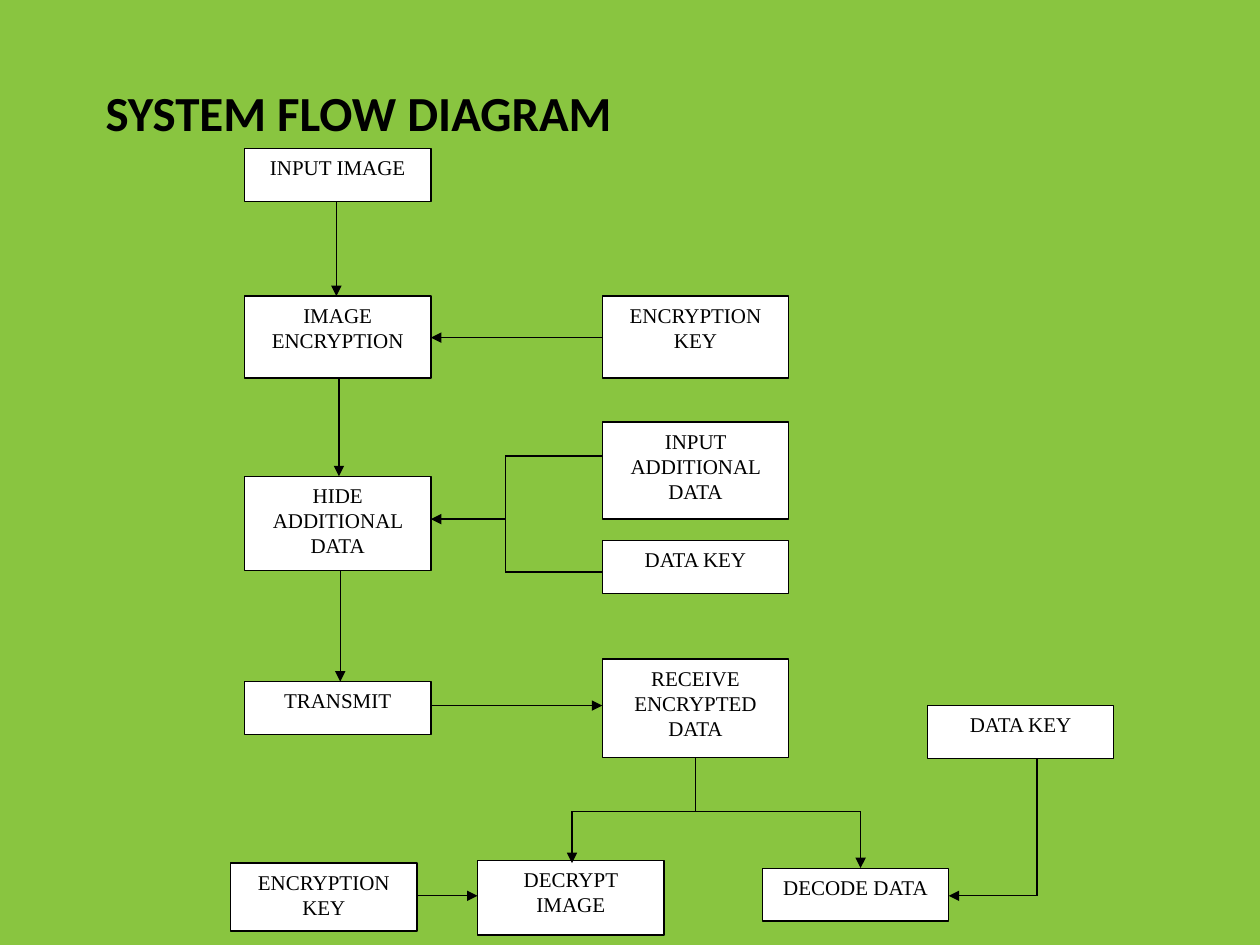
from pptx import Presentation
from pptx import util as u
from pptx.dml import color
from pptx.enum import shapes, text
from pptx.oxml import ns
from lxml import etree

BLACK, WHITE, GREEN = "000000", "FFFFFF", "89C540"
BOX_WIDTH = 1.48
LINE_WIDTH = 0.75


def paint(target, value):
    if hasattr(target, "solid"):
        target.solid()
        target = target.fore_color
    target.rgb = color.RGBColor.from_string(value)


def write(shape, words, font="Times New Roman", size=12, bold=False,
          align=text.PP_ALIGN.CENTER, anchor=text.MSO_ANCHOR.TOP, after=10):
    frame = shape.text_frame
    frame.word_wrap = True
    frame.vertical_anchor = anchor
    paragraph = frame.paragraphs[0]
    paragraph.alignment = align
    paragraph.space_after = u.Pt(after)
    run = paragraph.add_run()
    run.text = words
    run.font.name = font
    run.font.size = u.Pt(size)
    run.font.bold = bold
    paint(run.font.color, BLACK)


def add_box(slide, words, left, top, height):
    shape = slide.shapes.add_shape(
        shapes.MSO_SHAPE.RECTANGLE, u.Inches(left), u.Inches(top),
        u.Inches(BOX_WIDTH), u.Inches(height))
    shape.shadow.inherit = False
    paint(shape.fill, WHITE)
    paint(shape.line.fill, BLACK)
    shape.line.width = u.Pt(LINE_WIDTH)
    write(shape, words)


def add_line(slide, start, end, arrow):
    connector = slide.shapes.add_connector(
        shapes.MSO_CONNECTOR.STRAIGHT, *(u.Inches(n) for n in (*start, *end)))
    paint(connector.line.fill, BLACK)
    connector.line.width = u.Pt(LINE_WIDTH)
    if arrow:
        outline = connector.line._get_or_add_ln()
        etree.SubElement(outline, ns.qn("a:tailEnd"), type="triangle")
    etree.SubElement(connector._element.spPr, ns.qn("a:effectLst"))


def add_flow(slide, left, top, boxes, arrows, lines):
    for words, x, y, height in boxes:
        add_box(slide, words, left + x, top + y, height)
    for group, arrow in ((arrows, True), (lines, False)):
        for x1, y1, x2, y2 in group:
            add_line(slide, (left + x1, top + y1), (left + x2, top + y2), arrow)


def add_title(slide, left, top, width, height):
    title = slide.shapes.add_textbox(*(u.Inches(n) for n in (left, top, width, height)))
    write(title, "SYSTEM FLOW DIAGRAM", font="Calibri", size=28, bold=True,
          align=text.PP_ALIGN.LEFT, anchor=text.MSO_ANCHOR.BOTTOM, after=0)


def add_sender(slide, left, top):
    key_column, fork = 2.84, 2.07
    boxes = [
        ("INPUT IMAGE", 0, 0, 0.42),
        ("IMAGE ENCRYPTION", 0, 1.17, 0.65),
        ("HIDE ADDITIONAL DATA", 0, 2.6, 0.75),
        ("TRANSMIT", 0, 4.23, 0.42),
        ("ENCRYPTION KEY", key_column, 1.17, 0.65),
        ("INPUT ADDITIONAL DATA", key_column, 2.17, 0.77),
        ("DATA KEY", key_column, 3.11, 0.42),
    ]
    arrows = [
        (0.73, 0.42, 0.73, 1.17),
        (0.75, 1.82, 0.75, 2.6),
        (0.76, 3.35, 0.76, 4.23),
        (key_column, 1.5, BOX_WIDTH, 1.5),
        (fork, 2.94, BOX_WIDTH, 2.94),
        (BOX_WIDTH, 4.42, key_column, 4.42),
    ]
    lines = [
        (key_column, 2.44, fork, 2.44),
        (fork, 2.44, fork, 3.36),
        (key_column, 3.36, fork, 3.36),
    ]
    add_flow(slide, left, top, boxes, arrows, lines)


def add_receiver(slide, left, top):
    branch, decrypt, decode, data_key = 1.21, 2.71, 5, 6.4
    key_row = 1.88
    boxes = [
        ("RECEIVE ENCRYPTED DATA", 2.95, 0, 0.78),
        ("DATA KEY", 5.53, 0.37, 0.42),
        ("ENCRYPTION KEY", 0, 1.62, 0.54),
        ("DECRYPT IMAGE", 1.96, 1.6, 0.59),
        ("DECODE DATA", 4.22, 1.66, 0.42),
    ]
    arrows = [
        (BOX_WIDTH, key_row, 1.96, key_row),
        (decrypt, branch, decrypt, 1.62),
        (decode, branch, decode, 1.66),
        (data_key, key_row, 4.22 + BOX_WIDTH, key_row),
    ]
    lines = [
        (3.69, 0.78, 3.69, branch),
        (decrypt, branch, decode, branch),
        (data_key, 0.79, data_key, key_row),
    ]
    add_flow(slide, left, top, boxes, arrows, lines)


presentation = Presentation()
presentation.slide_width = u.Inches(10)
presentation.slide_height = u.Inches(7.5)
slide = presentation.slides.add_slide(presentation.slide_layouts[6])
paint(slide.background.fill, GREEN)
add_title(slide, 0.74, 0.21, 4.35, 0.96)
add_sender(slide, 1.94, 1.18)
add_receiver(slide, 1.83, 5.23)
presentation.save("out.pptx")
